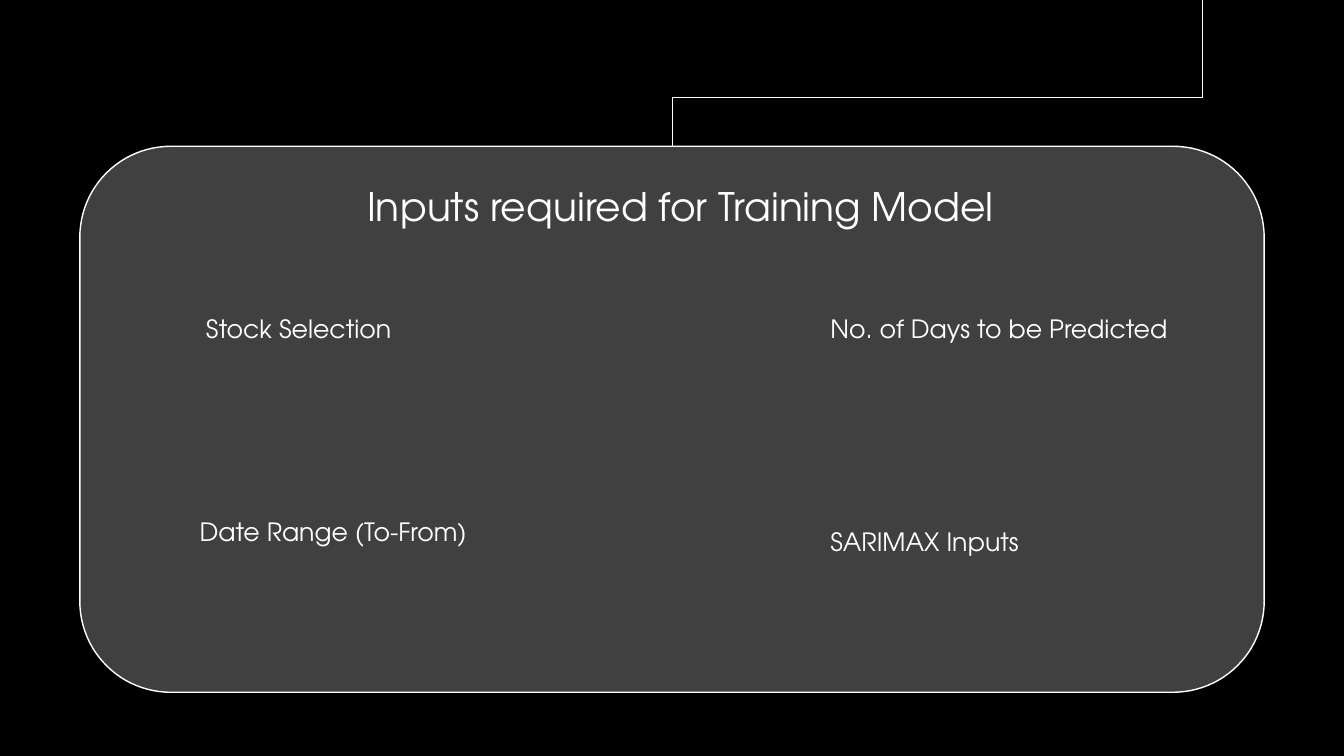
from lxml.etree import SubElement
from pptx import Presentation
from pptx.dml.color import RGBColor
from pptx.enum.shapes import MSO_CONNECTOR, MSO_SHAPE
from pptx.enum.text import MSO_ANCHOR, MSO_AUTO_SIZE, PP_ALIGN
from pptx.oxml.ns import qn
from pptx.util import Pt

COLORS = {"background": "000000", "panel": "404040", "light": "FFFFFF"}
FONT = "TeX Gyre Adventor"
FRAME_FORMAT = {
    "word_wrap": True,
    "auto_size": MSO_AUTO_SIZE.NONE,
    "vertical_anchor": MSO_ANCHOR.TOP,
    "margin_left": Pt(7.2),
    "margin_right": Pt(7.2),
    "margin_top": Pt(3.6),
    "margin_bottom": Pt(3.6),
}


def set_attributes(target, values):
    for name, value in values.items():
        setattr(target, name, value)


class SlideBuilder:
    def __init__(self, deck):
        self.page = deck.slides.add_slide(deck.slide_layouts[5])
        self.paint(self.page.background.fill, "background")

    def paint(self, fill, color):
        fill.solid()
        fill.fore_color.rgb = RGBColor.from_string(COLORS[color])

    def outline(self, shape, width):
        self.paint(shape.line.fill, "light")
        shape.line.width = Pt(width)

    def panel(self, left, top, width, height):
        shape = self.page.shapes.add_shape(
            MSO_SHAPE.ROUNDED_RECTANGLE, Pt(left), Pt(top), Pt(width), Pt(height)
        )
        shape.shadow.inherit = False
        self.paint(shape.fill, "panel")
        self.outline(shape, 1)
        return shape

    def line(self, start, end):
        points = [Pt(value) for value in (*start, *end)]
        connector = self.page.shapes.add_connector(MSO_CONNECTOR.STRAIGHT, *points)
        self.outline(connector, 0.5)
        SubElement(connector._element.spPr, qn("a:effectLst"))
        return connector

    def set_text(self, box, text, size):
        set_attributes(box.text_frame, FRAME_FORMAT)
        para = box.text_frame.paragraphs[0]
        para.alignment = PP_ALIGN.LEFT
        span = para.add_run()
        span.text = text
        set_attributes(span.font, {"name": FONT, "size": Pt(size)})
        self.paint(span.font.fill, "light")

    def title(self, text, left, top, width, height):
        box = self.page.shapes.title
        place = {"left": left, "top": top, "width": width, "height": height}
        set_attributes(box, {name: Pt(value) for name, value in place.items()})
        self.set_text(box, text, 28)
        self.page.shapes._spTree.append(box._element)

    def label(self, text, left, top):
        box = self.page.shapes.add_textbox(Pt(left), Pt(top), Pt(272), Pt(29))
        self.set_text(box, text, 18)


def main():
    deck = Presentation()
    set_attributes(deck, {"slide_width": Pt(960), "slide_height": Pt(540)})
    builder = SlideBuilder(deck)

    panel = builder.panel(57, 104.5, 846, 390)
    center, bend, right = 480, 69.6, 859
    builder.line((right, 0), (right, bend))
    builder.line((right, bend), (center, bend))
    stem = builder.line((center, bend), (center, 104.5))
    stem.end_connect(panel, 0)

    builder.title("Inputs required for Training Model", 255, 126.7, 467, 41)
    labels = [
        ("Stock Selection", 140, 220.5),
        ("No. of Days to be Predicted", 586, 220.5),
        ("Date Range (To-From)", 135.5, 365),
        ("SARIMAX Inputs", 586, 372.5),
    ]
    for text, left, top in labels:
        builder.label(text, left, top)

    deck.save("out.pptx")


if __name__ == "__main__":
    main()
